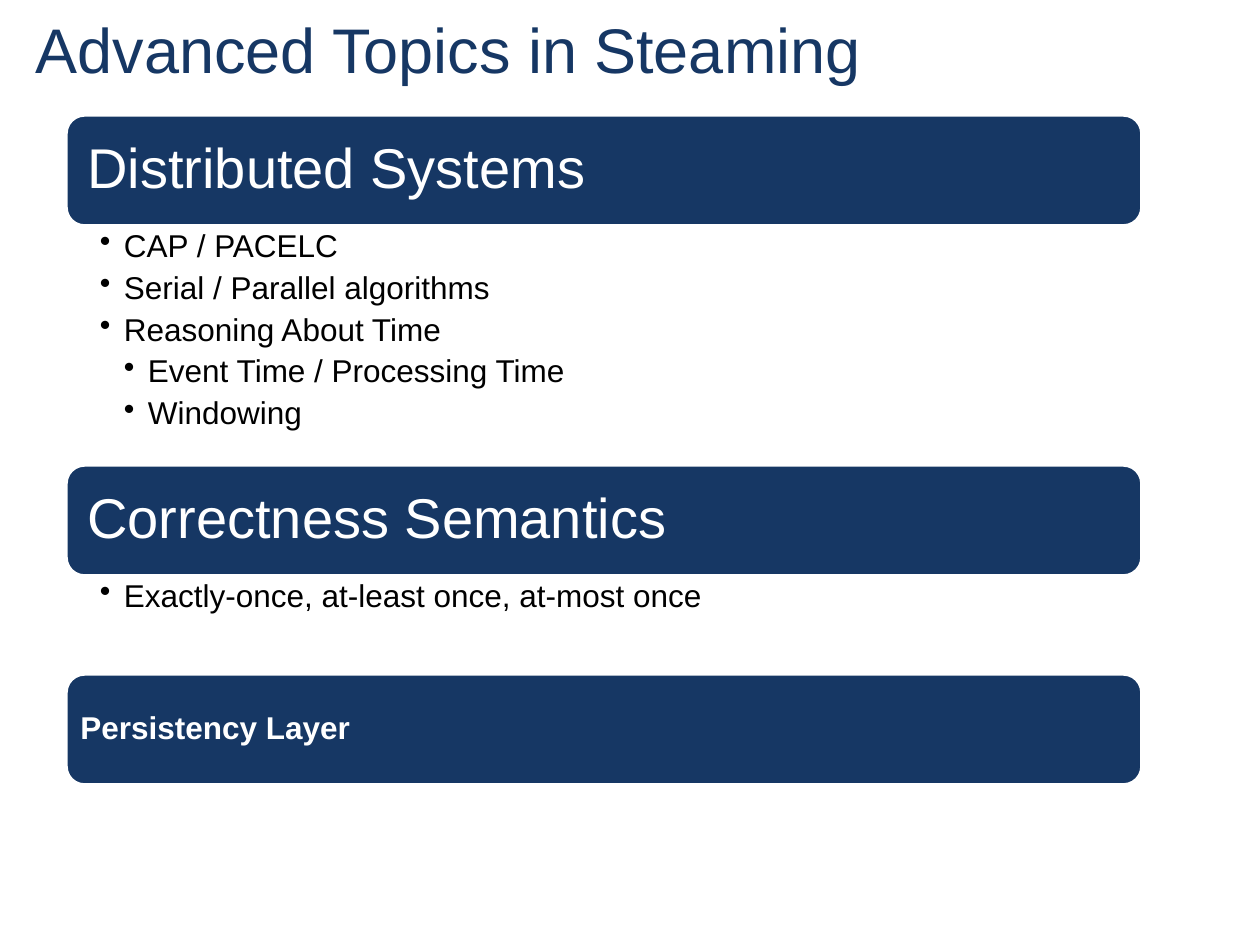
from lxml.etree import SubElement
from pptx import Presentation
from pptx.dml.color import RGBColor
from pptx.enum.shapes import MSO_SHAPE
from pptx.enum.text import MSO_ANCHOR, PP_ALIGN
from pptx.oxml.ns import qn
from pptx.util import Pt

NAVY = RGBColor(0x16, 0x37, 0x64)
WHITE = RGBColor(0xFF, 0xFF, 0xFF)
BLACK = RGBColor(0, 0, 0)
FONT = "Arial"


def px(n):
    return round(n * 914400 / 126)


def style(para, size, color, bold=False):
    para.alignment = PP_ALIGN.LEFT
    for run in para.runs:
        font = run.font
        font.name = FONT
        font.size = Pt(size)
        font.bold = bold
        font.color.rgb = color


deck = Presentation()
deck.slide_width, deck.slide_height = px(1260), px(945)
slide = deck.slides.add_slide(deck.slide_layouts[5])

title = slide.shapes.title
title.left, title.top, title.width, title.height = px(23), px(4), px(1237), px(89)
title.text_frame.text = "Advanced Topics in Steaming"
title.text_frame.vertical_anchor = MSO_ANCHOR.TOP
style(title.text_frame.paragraphs[0], 36, NAVY)

LEFT, WIDTH, BAR = 66, 1076, 111
topics = [
    ("Distributed Systems", 32, False, 16, 239, [
        ("CAP / PACELC", 1),
        ("Serial / Parallel algorithms", 1),
        ("Reasoning About Time", 1),
        ("Event Time / Processing Time", 2),
        ("Windowing", 2),
    ]),
    ("Correctness Semantics", 32, False, 16, 98, [
        ("Exactly-once, at-least once, at-most once", 1),
    ]),
    ("Persistency Layer", 18, True, 9, 0, []),
]

top = 115
for name, size, bold, inset, depth, items in topics:
    bar = slide.shapes.add_shape(
        MSO_SHAPE.ROUNDED_RECTANGLE, px(LEFT), px(top), px(WIDTH), px(BAR))
    bar.shadow.inherit = False
    bar.fill.solid()
    bar.fill.fore_color.rgb = NAVY
    bar.line.color.rgb = WHITE
    bar.line.width = Pt(2)
    frame = bar.text_frame
    frame.text = name
    frame.word_wrap = True
    frame.vertical_anchor = MSO_ANCHOR.MIDDLE
    frame.margin_left = frame.margin_right = px(inset)
    frame.margin_top = frame.margin_bottom = px(inset)
    frame.paragraphs[0].line_spacing = 0.9
    style(frame.paragraphs[0], size, WHITE, bold)
    top += BAR

    if items:
        box = slide.shapes.add_textbox(px(LEFT), px(top), px(WIDTH), px(depth))
        frame = box.text_frame
        frame.word_wrap = True
        frame.margin_left, frame.margin_right = px(34), px(18)
        frame.margin_top = frame.margin_bottom = px(4)
        frame.text = "\n".join(text for text, level in items)
        for para, (text, level) in zip(frame.paragraphs, items):
            para.level = level
            para.line_spacing = 0.9
            para.space_after = Pt(4.5)
            style(para, 18, BLACK)
            props = para._p.get_or_add_pPr()
            props.set("marL", str(px(24 * level)))
            props.set("indent", str(-px(24)))
            SubElement(props, qn("a:buChar")).set("char", "•")
    top += depth

deck.save("out.pptx")
